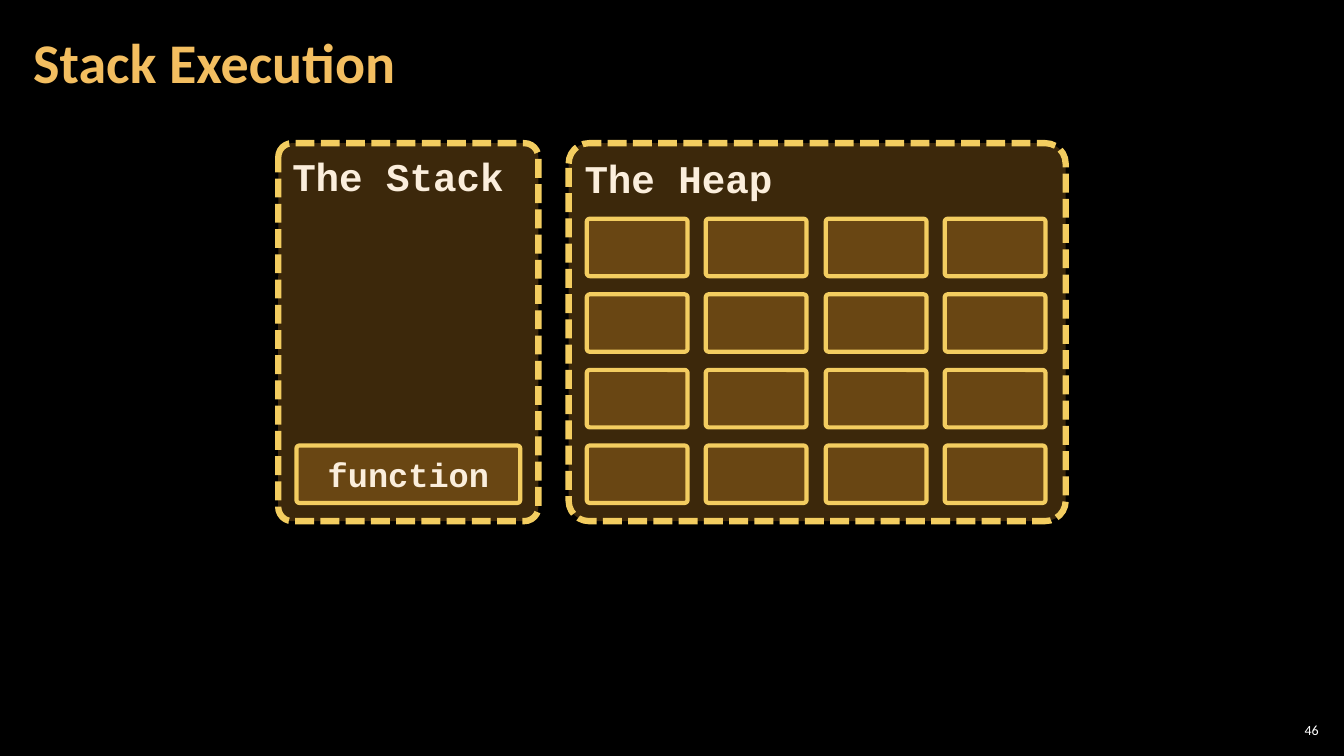
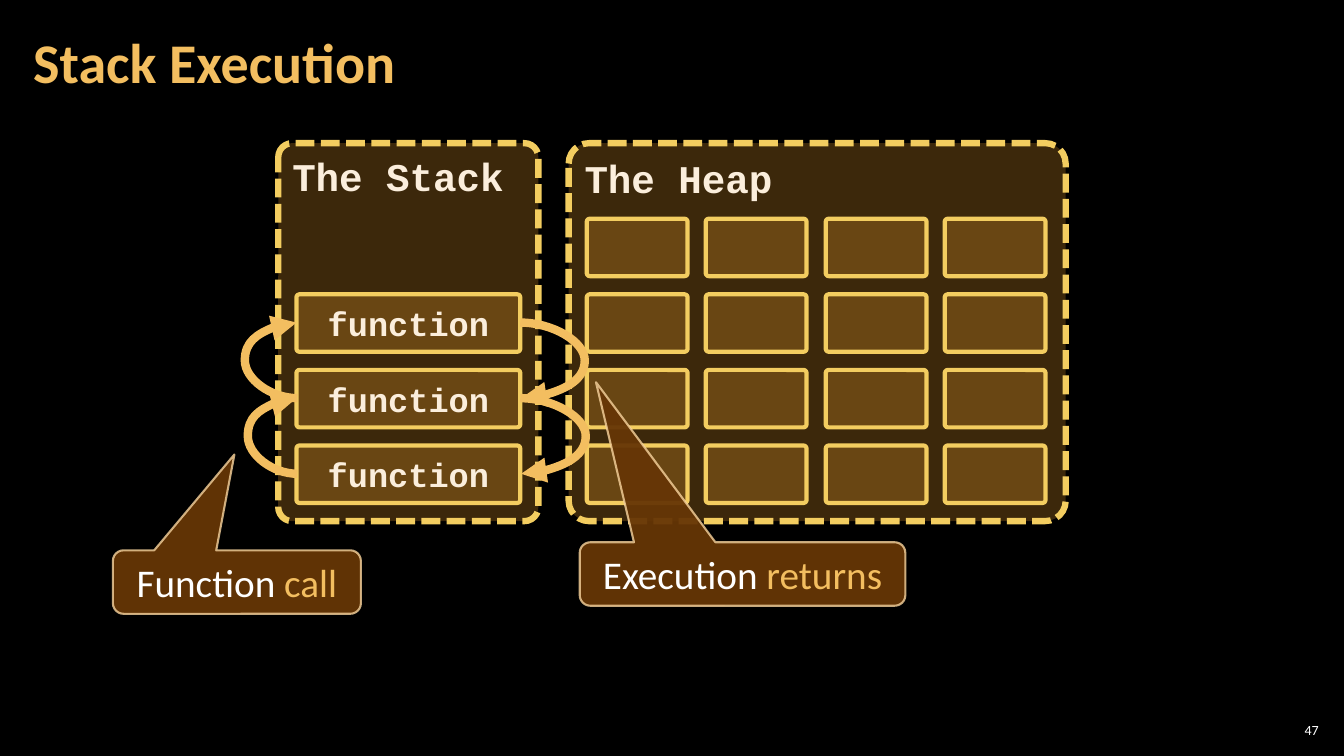
from lxml import etree
from pptx import Presentation
from pptx.dml.color import RGBColor
from pptx.enum.dml import MSO_LINE
from pptx.enum.shapes import MSO_CONNECTOR, MSO_SHAPE
from pptx.enum.text import MSO_ANCHOR, MSO_AUTO_SIZE, PP_ALIGN
from pptx.oxml.ns import qn
from pptx.util import Pt

ROUNDED = MSO_SHAPE.ROUNDED_RECTANGLE
CALLOUT = MSO_SHAPE.ROUNDED_RECTANGULAR_CALLOUT
CURVE = MSO_CONNECTOR.CURVE
DASHED = MSO_LINE.SQUARE_DOT
TOP, MIDDLE = MSO_ANCHOR.TOP, MSO_ANCHOR.MIDDLE
LEFT, CENTER, RIGHT = PP_ALIGN.LEFT, PP_ALIGN.CENTER, PP_ALIGN.RIGHT
FIT_SHAPE = MSO_AUTO_SIZE.SHAPE_TO_FIT_TEXT

EMU_PER_PX = 9144
SLIDE_SIZE = (1333, 750)
STACK_BOX = (276, 142, 258, 375)
HEAP_BOX = (564, 142, 493, 375)
PADDING = 18
ROW_STEP = 75
ROW_COUNT = 4
COLUMN_COUNT = 4
BLOCK_HEIGHT = 57
HEAP_BLOCK_WIDTH = 100

COLORS = {
    "background": "000000",
    "accent": "F3BE60",
    "memory": "F0A22E",
    "outline": "F3CD60",
    "code": "FBEEDC",
    "plain": "FFFFFF",
    "callout": "663606",
    "callout_edge": "F8D49E",
}
FONTS = {
    "title": {"name": "Calibri", "size": Pt(40), "bold": True},
    "number": {"name": "Calibri", "size": Pt(10)},
    "panel": {"name": "Courier New", "size": Pt(28), "bold": True},
    "block": {"name": "Courier New", "size": Pt(24), "bold": True},
    "callout": {"name": "Calibri", "size": Pt(28)},
}


def px(value):
    return round(value * EMU_PER_PX)


def color(name):
    return RGBColor.from_string(COLORS[name])


def set_format(target, values):
    for name, value in values.items():
        setattr(target, name, value)


def set_opacity(parent, percent):
    color_element = parent.find(qn("a:solidFill")).find(qn("a:srgbClr"))
    etree.SubElement(color_element, qn("a:alpha"), val=str(percent * 1000))


def write_text(shape, runs, font, insets, anchor, align, wrap=True):
    frame = shape.text_frame
    horizontal, vertical = map(px, insets)
    set_format(frame, {
        "margin_left": horizontal, "margin_right": horizontal,
        "margin_top": vertical, "margin_bottom": vertical,
        "vertical_anchor": anchor, "word_wrap": wrap,
    })
    paragraph = frame.paragraphs[0]
    paragraph.alignment = align
    for text, color_name in runs:
        run = paragraph.add_run()
        run.text = text
        set_format(run.font, FONTS[font])
        run.font.color.rgb = color(color_name)
    return paragraph


def add_box(slide, kind, box, adjustments, fill, opacity, edge, width):
    shape = slide.shapes.add_shape(kind, *map(px, box))
    shape.shadow.inherit = False
    for index, value in enumerate(adjustments):
        shape.adjustments[index] = value
    shape.fill.solid()
    shape.fill.fore_color.rgb = color(fill)
    set_opacity(shape.element.spPr, opacity)
    shape.line.color.rgb = color(edge)
    shape.line.width = Pt(width)
    return shape


def add_panel(slide, box, label):
    panel = add_box(slide, ROUNDED, box, [0.054], "memory", 25, "outline", 4.5)
    panel.line.dash_style = DASHED
    write_text(panel, [(label, "code")], "panel", (10, 5), TOP, LEFT)


def add_block(slide, box, label=""):
    block = add_box(slide, ROUNDED, box, [0.053], "memory", 25, "outline", 3)
    if label:
        write_text(block, [(label, "code")], "block", (10, 5), MIDDLE, CENTER)


def row_top(box, row):
    return box[1] + ROW_STEP * (row + 1)


def add_stack(slide, box, call_count):
    add_panel(slide, box, "The Stack")
    left, width = box[0] + PADDING, box[2] - 2 * PADDING
    for row in range(ROW_COUNT - 1, ROW_COUNT - 1 - call_count, -1):
        add_block(slide, (left, row_top(box, row), width, BLOCK_HEIGHT), "function")


def add_heap(slide, box):
    add_panel(slide, box, "The Heap")
    left = box[0] + PADDING
    span = box[2] - 2 * PADDING - HEAP_BLOCK_WIDTH - 2
    for row in range(ROW_COUNT):
        for column in range(COLUMN_COUNT):
            block_left = left + round(span * column / (COLUMN_COUNT - 1))
            add_block(slide, (block_left, row_top(box, row), HEAP_BLOCK_WIDTH, BLOCK_HEIGHT))


def add_curved_arrow(slide, left, top, bulge, turned):
    points = (left, top, left + 1, top + ROW_STEP)
    arrow = slide.shapes.add_connector(CURVE, *map(px, points))
    arrow.line.color.rgb = color("accent")
    arrow.line.width = Pt(6)
    properties = arrow.element.spPr
    if turned:
        properties.find(qn("a:xfrm")).set("rot", "10800000")
    guides = properties.find(qn("a:prstGeom")).get_or_add_avLst()
    etree.SubElement(guides, qn("a:gd"), name="adj1", fmla=f"val {bulge * 100000}")
    etree.SubElement(properties.find(qn("a:ln")), qn("a:tailEnd"), type="triangle")
    etree.SubElement(properties, qn("a:effectLst"))


def add_arrows(slide, box, bulges, turned):
    left = box[0] + PADDING if turned else box[0] + box[2] - PADDING
    for row, bulge in bulges:
        add_curved_arrow(slide, left, row_top(box, row) + BLOCK_HEIGHT // 2, bulge, turned)


def add_callout(slide, box, pointer, plain, accent):
    callout = add_box(slide, CALLOUT, box, [*pointer, 0.167], "callout", 95, "callout_edge", 1.5)
    set_opacity(callout.element.spPr.find(qn("a:ln")), 80)
    runs = [(plain, "plain"), (accent, "accent")]
    write_text(callout, runs, "callout", (10, 5), MIDDLE, CENTER, wrap=False)
    callout.text_frame.auto_size = FIT_SHAPE


def add_label(slide, box, text, font, color_name, insets, align):
    label = slide.shapes.add_textbox(*map(px, box))
    return write_text(label, [(text, color_name)], font, insets, MIDDLE, align)


def add_memory_slide(presentation, number, call_count):
    slide = presentation.slides.add_slide(presentation.slide_layouts[6])
    title = add_label(slide, (21, 4, 1047, 121), "Stack Execution",
                      "title", "accent", (12, 4), LEFT)
    title.line_spacing = 0.9
    add_label(slide, (1265, 714, 47, 21), str(number), "number", "plain", (4, 4), RIGHT)
    add_stack(slide, STACK_BOX, call_count)
    add_heap(slide, HEAP_BOX)
    return slide


def add_call_notes(slide, box):
    left, top = box[:2]
    add_callout(slide, (left - 164, top + 404, 246, 63), (-0.01, -2.01), "Function ", "call")
    add_arrows(slide, box, [(2, 50), (1, 53)], turned=True)
    add_callout(slide, (left + 299, top + 396, 323, 63), (-0.45, -3.02), "Execution ", "returns")
    add_arrows(slide, box, [(1, 65), (2, 66)], turned=False)


def main():
    presentation = Presentation()
    presentation.slide_width, presentation.slide_height = map(px, SLIDE_SIZE)
    background = presentation.slide_master.background.fill
    background.solid()
    background.fore_color.rgb = color("background")
    add_memory_slide(presentation, 46, 1)
    calls_slide = add_memory_slide(presentation, 47, 3)
    add_call_notes(calls_slide, STACK_BOX)
    presentation.save("out.pptx")


if __name__ == "__main__":
    main()
